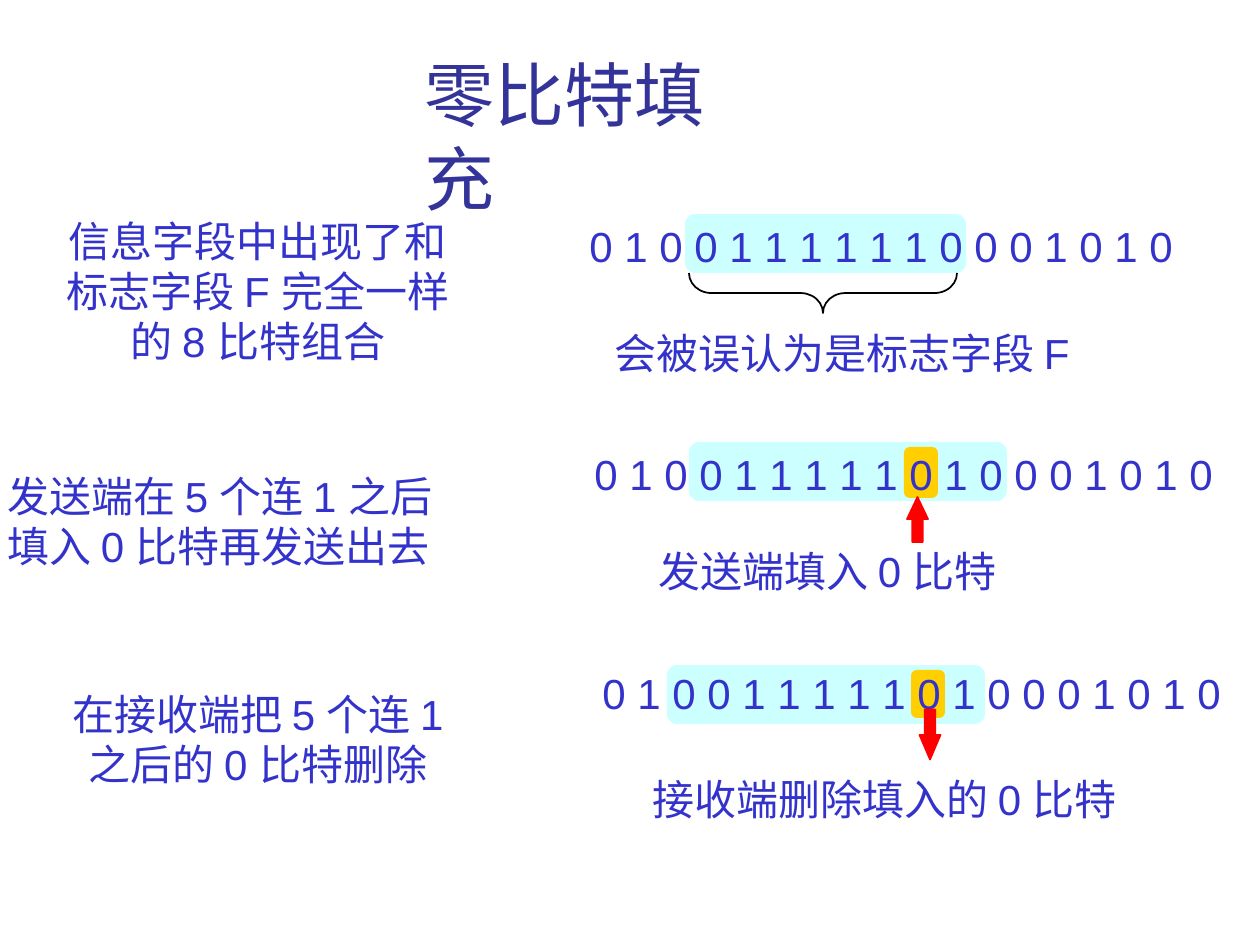
from pptx import Presentation
from pptx.dml.color import RGBColor
from pptx.enum.shapes import MSO_SHAPE as Preset
from pptx.enum.text import MSO_AUTO_SIZE as AutoSize, PP_ALIGN as Align
from pptx.util import Emu, Pt

EMU_PER_PX = 914400 / 126
COLORS = {
    "title": "333399",
    "text": "3333CC",
    "band": "CCFFFF",
    "stuffed": "FFCF01",
    "arrow": "FF0000",
    "brace": "000000",
}


def px(length):
    return Emu(round(length * EMU_PER_PX))


def color(part):
    return RGBColor.from_string(COLORS[part])


def place(origin, box):
    left, top, width, height = box
    return [px(n) for n in (origin[0] + left, origin[1] + top, width, height)]


def add_lines(slide, box, lines, align=Align.LEFT, size=24, font="Arial", part="text"):
    frame = slide.shapes.add_textbox(*place((0, 0), box)).text_frame
    frame.word_wrap = False
    frame.auto_size = AutoSize.SHAPE_TO_FIT_TEXT
    for index, line in enumerate(lines):
        paragraph = frame.add_paragraph() if index else frame.paragraphs[0]
        paragraph.alignment = align
        run = paragraph.add_run()
        run.text = line
        run.font.size = Pt(size)
        run.font.name = font
        run.font.color.rgb = color(part)


def add_mark(slide, preset, origin, box, adjustments, fill=None, line=None, rotation=0):
    mark = slide.shapes.add_shape(preset, *place(origin, box))
    mark.shadow.inherit = False
    mark.rotation = rotation
    for index, value in enumerate(adjustments):
        mark.adjustments[index] = value
    if fill:
        mark.fill.solid()
        mark.fill.fore_color.rgb = color(fill)
    else:
        mark.fill.background()
    if line:
        mark.line.color.rgb = color(line)
        mark.line.width = Pt(1)
    else:
        mark.line.fill.background()


def add_bit_row(slide, box, bits, band, note_box, note, stuffed=None):
    left, top = origin = box[:2]
    add_mark(slide, Preset.ROUNDED_RECTANGLE, origin, band, [0.17], "band")
    if stuffed:
        add_mark(slide, Preset.ROUNDED_RECTANGLE, origin, stuffed, [0.17], "stuffed")
    add_lines(slide, box, [" ".join(bits)])
    note_left, note_top, note_width, note_height = note_box
    add_lines(slide, (left + note_left, top + note_top, note_width, note_height), [note])


def add_brace(slide, origin, box):
    add_mark(slide, Preset.LEFT_BRACE, origin, box, [0.56, 0.5], line="brace", rotation=270)


def add_arrow(slide, origin, box, head, rotation):
    add_mark(slide, Preset.RIGHT_ARROW, origin, box, [0.5, head], "arrow", "arrow", rotation)


def build():
    deck = Presentation()
    deck.slide_width, deck.slide_height = px(1260), px(945)
    slide = deck.slides.add_slide(deck.slide_layouts[6])

    add_lines(slide, (412, 45, 374, 97), ["零比特填充"], size=40, font="Lato", part="title")

    add_lines(slide, (38, 209, 440, 164),
              ["信息字段中出现了和", "标志字段 F 完全一样", "的 8 比特组合"], Align.CENTER)
    add_lines(slide, (-5, 464, 513, 113), ["发送端在 5 个连 1 之后", "填入 0 比特再发送出去"])
    add_lines(slide, (33, 682, 450, 113),
              ["在接收端把 5 个连 1", "之后的 0 比特删除"], Align.CENTER)

    original = (577, 214, 609, 63)
    add_bit_row(slide, original, "01001111110001010", (108, 0, 281, 59),
                (25, 107, 513, 63), "会被误认为是标志字段 F")
    add_brace(slide, original[:2], (226, -55, 40, 268))

    sent = (582, 442, 644, 63)
    add_bit_row(slide, sent, "010011111010001010", (107, 0, 318, 59),
                (64, 97, 396, 63), "发送端填入 0 比特", (322, 5, 34, 51))
    add_arrow(slide, sent[:2], (313, 67, 45, 21), 1.05, 270)

    received = (590, 661, 644, 63)
    add_bit_row(slide, received, "010011111010001010", (77, 4, 318, 59),
                (50, 106, 522, 63), "接收端删除填入的 0 比特", (321, 9, 34, 48))
    add_arrow(slide, received[:2], (315, 63, 50, 21), 1.17, 90)

    deck.save("out.pptx")


if __name__ == "__main__":
    build()
